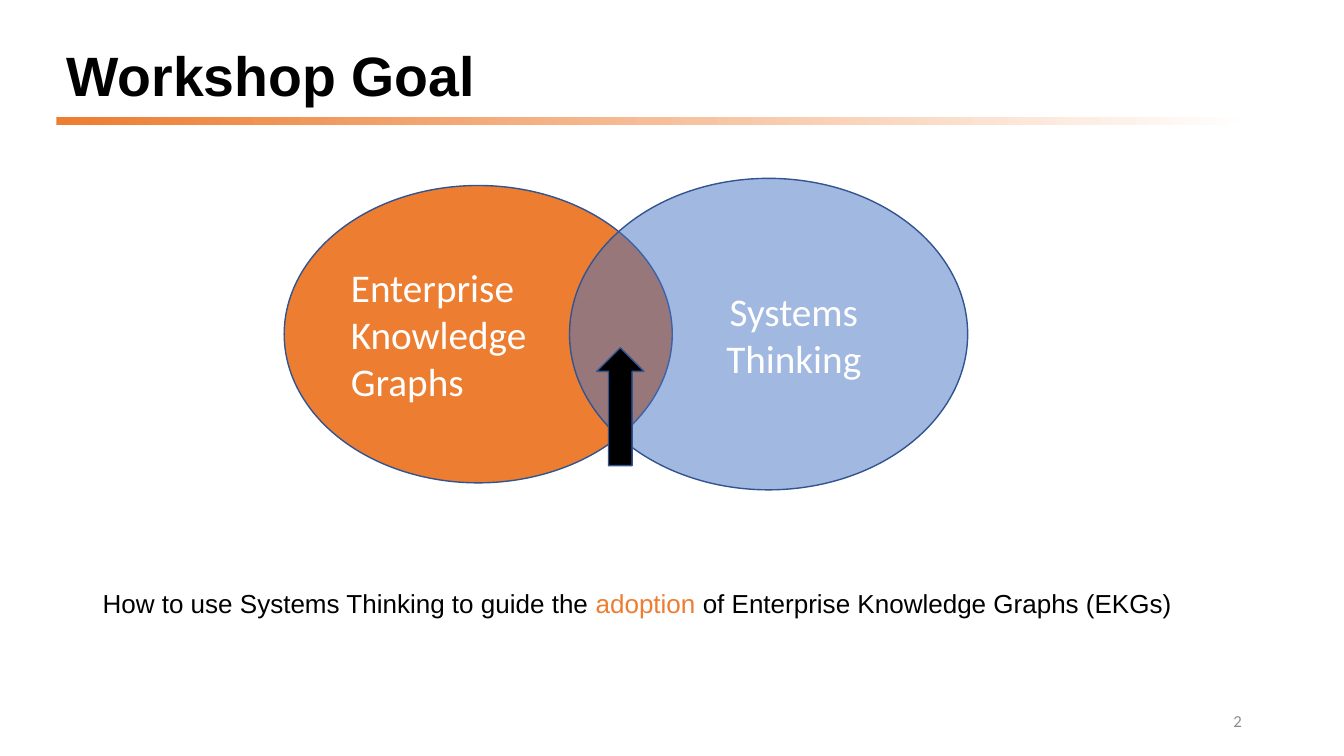
"""Build the Workshop Goal slide with its two overlapping topics."""
from dataclasses import dataclass

from lxml.etree import SubElement
from pptx import Presentation
from pptx.dml.color import RGBColor
from pptx.enum.shapes import MSO_SHAPE
from pptx.enum.text import MSO_ANCHOR, PP_ALIGN
from pptx.oxml.ns import qn
from pptx.util import Pt


@dataclass(frozen=True)
class Theme:
    """Colours, fonts and type sizes of the slide."""

    orange: str = "ED7D31"
    blue: str = "4472C4"
    outline: str = "325491"
    black: str = "000000"
    white: str = "FFFFFF"
    grey: str = "8C8C8C"
    heading_font: str = "Arial"
    topic_font: str = "Calibri"
    title_size: float = 39.6
    goal_size: float = 18.6
    topic_size: float = 28
    number_size: float = 12


THEME = Theme()


def rgb(colour):
    """Turn a hex string into a colour."""
    return RGBColor.from_string(colour)


def style_run(run, font, size, colour, bold=False):
    """Set the type of one run."""
    run.font.name = font
    run.font.size = Pt(size)
    run.font.color.rgb = rgb(colour)
    run.font.bold = bold


def add_text(slide, box, parts, font, size, bold=False, anchor=MSO_ANCHOR.MIDDLE):
    """Add one paragraph of (words, colour) parts and return it."""
    frame = slide.shapes.add_textbox(*map(Pt, box)).text_frame
    frame.word_wrap = True
    frame.vertical_anchor = anchor
    paragraph = frame.paragraphs[0]
    for words, colour in parts:
        run = paragraph.add_run()
        run.text = words
        style_run(run, font, size, colour, bold)
    return paragraph


def add_figure(slide, kind, box, colour, opacity=100):
    """Add an outlined preset shape with a solid fill."""
    figure = slide.shapes.add_shape(kind, *map(Pt, box))
    figure.shadow.inherit = False
    figure.fill.solid()
    figure.fill.fore_color.rgb = rgb(colour)
    figure.line.color.rgb = rgb(THEME.outline)
    figure.line.width = Pt(1)
    if opacity < 100:
        fill_colour = figure.fill._xPr.find(qn("a:solidFill"))[0]
        SubElement(fill_colour, qn("a:alpha"), val=str(opacity * 1000))
    return figure


def add_topic(slide, box, words, colour, opacity=100, align=PP_ALIGN.LEFT, indent=0):
    """Add an ellipse that names one topic, one word a line."""
    frame = add_figure(slide, MSO_SHAPE.OVAL, box, colour, opacity).text_frame
    frame.text = "\n".join(words)
    frame.vertical_anchor = MSO_ANCHOR.MIDDLE
    for paragraph in frame.paragraphs:
        paragraph.alignment = align
        paragraph._p.get_or_add_pPr().set("marL", str(Pt(indent)))
        style_run(paragraph.runs[0], THEME.topic_font, THEME.topic_size, THEME.white)


def add_title_rule(slide, box):
    """Add the bar under the title, fading to the right."""
    rule = slide.shapes.add_shape(MSO_SHAPE.RECTANGLE, *map(Pt, box))
    rule.shadow.inherit = False
    rule.line.fill.background()
    rule.fill.gradient()
    rule.fill.gradient_angle = 0
    for stop, position, colour in zip(
        rule.fill.gradient_stops, (0, 1), (THEME.orange, THEME.white)
    ):
        stop.position = position
        stop.color.rgb = rgb(colour)


def main():
    """Compose and save the slide."""
    deck = Presentation()
    deck.slide_width, deck.slide_height = Pt(960), Pt(540)
    slide = deck.slides.add_slide(deck.slide_layouts[6])

    add_title_rule(slide, (40.3, 83.5, 854, 5.8))
    title = add_text(slide, (40.3, 28.8, 828, 54.7), [("Workshop Goal", THEME.black)],
                     THEME.heading_font, THEME.title_size, bold=True)
    title.line_spacing = 0.9

    goal = add_text(
        slide, (66.2, 393.8, 828, 92.2),
        [("How to use Systems Thinking to guide the ", THEME.black),
         ("adoption", THEME.orange),
         (" of Enterprise Knowledge Graphs (EKGs)", THEME.black)],
        THEME.heading_font, THEME.goal_size, anchor=MSO_ANCHOR.TOP)
    goal.line_spacing = 2.0
    goal.space_before = Pt(10)

    number = add_text(slide, (678.2, 500.4, 216, 28.8), [("2", THEME.grey)],
                      THEME.topic_font, THEME.number_size)
    number.alignment = PP_ALIGN.RIGHT

    add_topic(slide, (203, 132.5, 277.2, 212.4),
              ("Enterprise", "Knowledge", "Graphs"), THEME.orange)
    add_topic(slide, (406.8, 127.4, 284.4, 222.5), ("Systems", "Thinking"),
              THEME.blue, opacity=50, align=PP_ALIGN.CENTER, indent=36)
    add_figure(slide, MSO_SHAPE.UP_ARROW, (426.2, 248.4, 33.8, 84.2), THEME.black)

    deck.save("out.pptx")


if __name__ == "__main__":
    main()
